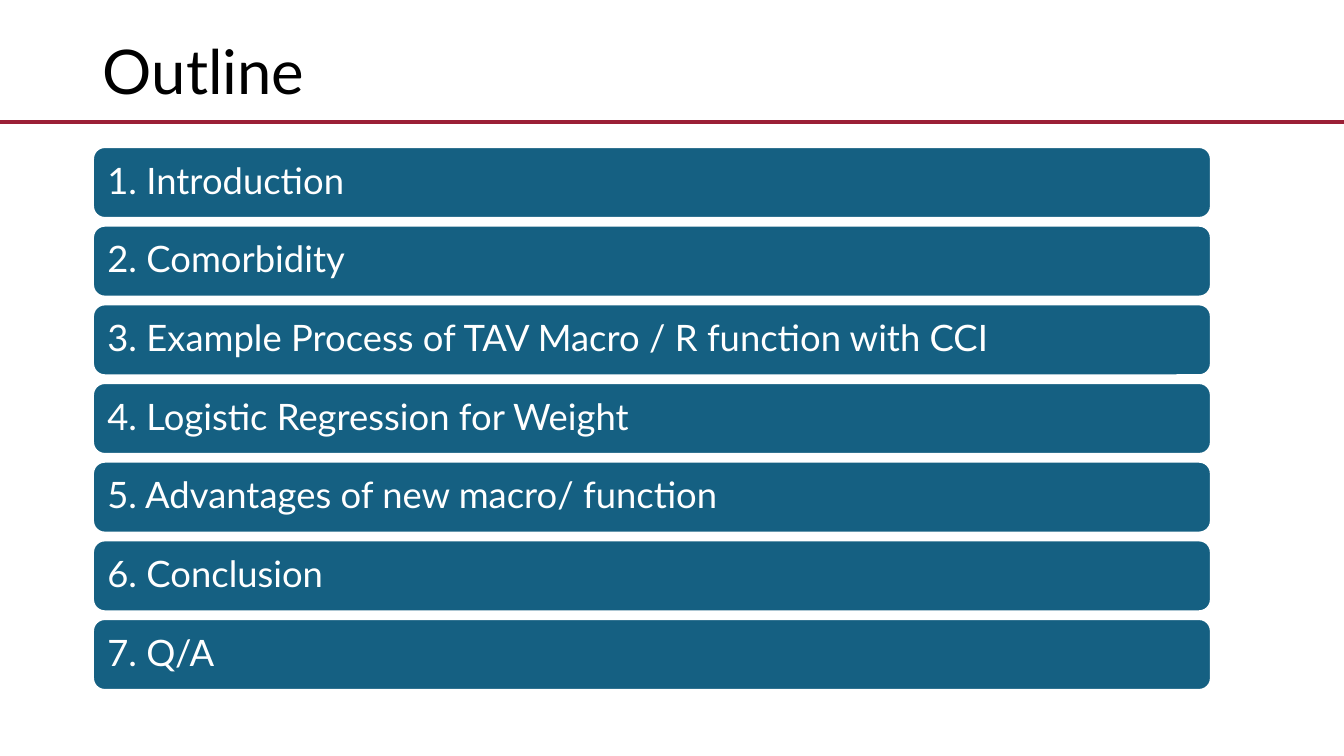
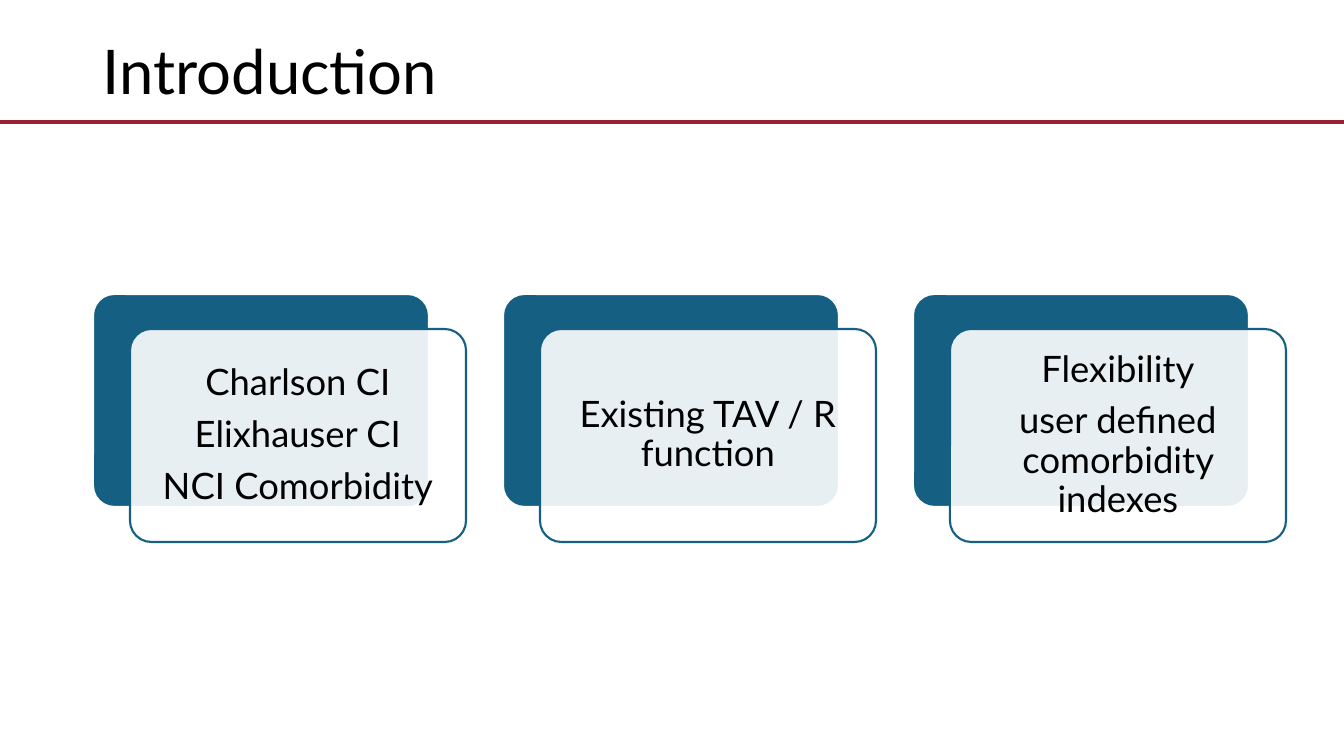
from pptx import Presentation
from pptx.dml.color import RGBColor
from pptx.enum.shapes import MSO_CONNECTOR, MSO_SHAPE
from pptx.enum.text import MSO_ANCHOR, PP_ALIGN
from pptx.oxml.ns import qn
from pptx.util import Emu, Pt
from lxml.etree import SubElement

BLUE = RGBColor(0x15, 0x60, 0x82)
CRIMSON = RGBColor(0x9B, 0x1F, 0x36)
WHITE = RGBColor(0xFF, 0xFF, 0xFF)
BLACK = RGBColor(0x00, 0x00, 0x00)

FONT = "Lato"
TITLE_SIZE, BODY_SIZE = 44, 26
SLIDE_W, SLIDE_H = 1344, 756
LEFT = 93
RULE_Y = 122
TEXT_INSET = 11

BAR_TOP, BAR_W, BAR_H = 147, 1118, 71
LAST_BAR_TOP = 619

CARD_TOP, CARD_W, CARD_H = 294, 336, 213
CARD_PITCH = 410
FRONT_DX, FRONT_DY = 37, 35
CARD_ROUNDING = 0.1
FRONT_OPACITY = 90

OUTLINE = [
    "1. Introduction",
    "2. Comorbidity",
    "3. Example Process of TAV Macro / R function with CCI",
    "4. Logistic Regression for Weight",
    "5. Advantages of new macro/ function",
    "6. Conclusion",
    "7. Q/A",
]
CARDS = [
    ["Charlson CI", "Elixhauser CI", "NCI Comorbidity"],
    ["Existing TAV / R function"],
    ["Flexibility", "user defined comorbidity indexes"],
]


def px(n):
    return Emu(round(n * 914400 / 100.8))


def write(sp, lines, size, color, align=PP_ALIGN.LEFT, space_after=0):
    tf = sp.text_frame
    tf.word_wrap = True
    tf.vertical_anchor = MSO_ANCHOR.MIDDLE
    tf.text = "\n".join(lines)
    for p in tf.paragraphs:
        p.alignment = align
        p.line_spacing = 0.9
        p.space_after = Pt(space_after)
        font = p.runs[0].font
        font.name, font.size = FONT, Pt(size)
        font.color.rgb = color


def write_body(sp, lines, color, align=PP_ALIGN.LEFT):
    tf = sp.text_frame
    tf.margin_left = tf.margin_right = px(TEXT_INSET)
    tf.margin_top = tf.margin_bottom = px(TEXT_INSET)
    write(sp, lines, BODY_SIZE, color, align, space_after=9)


def add_round_rect(slide, x, y, w, h, fill, line, rounding=None):
    sp = slide.shapes.add_shape(MSO_SHAPE.ROUNDED_RECTANGLE,
                                px(x), px(y), px(w), px(h))
    sp.shadow.inherit = False
    sp.fill.solid()
    sp.fill.fore_color.rgb = fill
    sp.line.color.rgb = line
    sp.line.width = Pt(1.5)
    if rounding is not None:
        sp.adjustments[0] = rounding
    return sp


def set_opacity(sp, percent):
    color = sp._element.spPr.find(qn("a:solidFill"))[0]
    SubElement(color, qn("a:alpha")).set("val", str(percent * 1000))


def add_rule(slide):
    line = slide.shapes.add_connector(MSO_CONNECTOR.STRAIGHT, px(0), px(RULE_Y),
                                      px(SLIDE_W), px(RULE_Y))
    line.line.color.rgb = CRIMSON
    line.line.width = Pt(3)
    SubElement(line._element.spPr, qn("a:effectLst"))


def add_titled_slide(prs, title):
    slide = prs.slides.add_slide(prs.slide_layouts[6])
    box = slide.shapes.add_textbox(px(LEFT), px(2), px(1159), px(146))
    write(box, [title], TITLE_SIZE, BLACK)
    add_rule(slide)
    return slide


def add_bars(slide, labels):
    pitch = (LAST_BAR_TOP - BAR_TOP) / (len(labels) - 1)
    for i, label in enumerate(labels):
        bar = add_round_rect(slide, LEFT, BAR_TOP + i * pitch, BAR_W, BAR_H,
                             BLUE, WHITE)
        write_body(bar, [label], WHITE)


def add_card(slide, x, lines):
    """Add a solid card with a translucent text card offset in front of it."""
    add_round_rect(slide, x, CARD_TOP, CARD_W, CARD_H, BLUE, WHITE, CARD_ROUNDING)
    front = add_round_rect(slide, x + FRONT_DX, CARD_TOP + FRONT_DY,
                           CARD_W, CARD_H, WHITE, BLUE, CARD_ROUNDING)
    set_opacity(front, FRONT_OPACITY)
    write_body(front, lines, BLACK, PP_ALIGN.CENTER)


def main():
    prs = Presentation()
    prs.slide_width, prs.slide_height = px(SLIDE_W), px(SLIDE_H)

    add_bars(add_titled_slide(prs, "Outline"), OUTLINE)

    introduction = add_titled_slide(prs, "Introduction")
    for i, lines in enumerate(CARDS):
        add_card(introduction, LEFT + i * CARD_PITCH, lines)

    prs.save("out.pptx")


if __name__ == "__main__":
    main()
